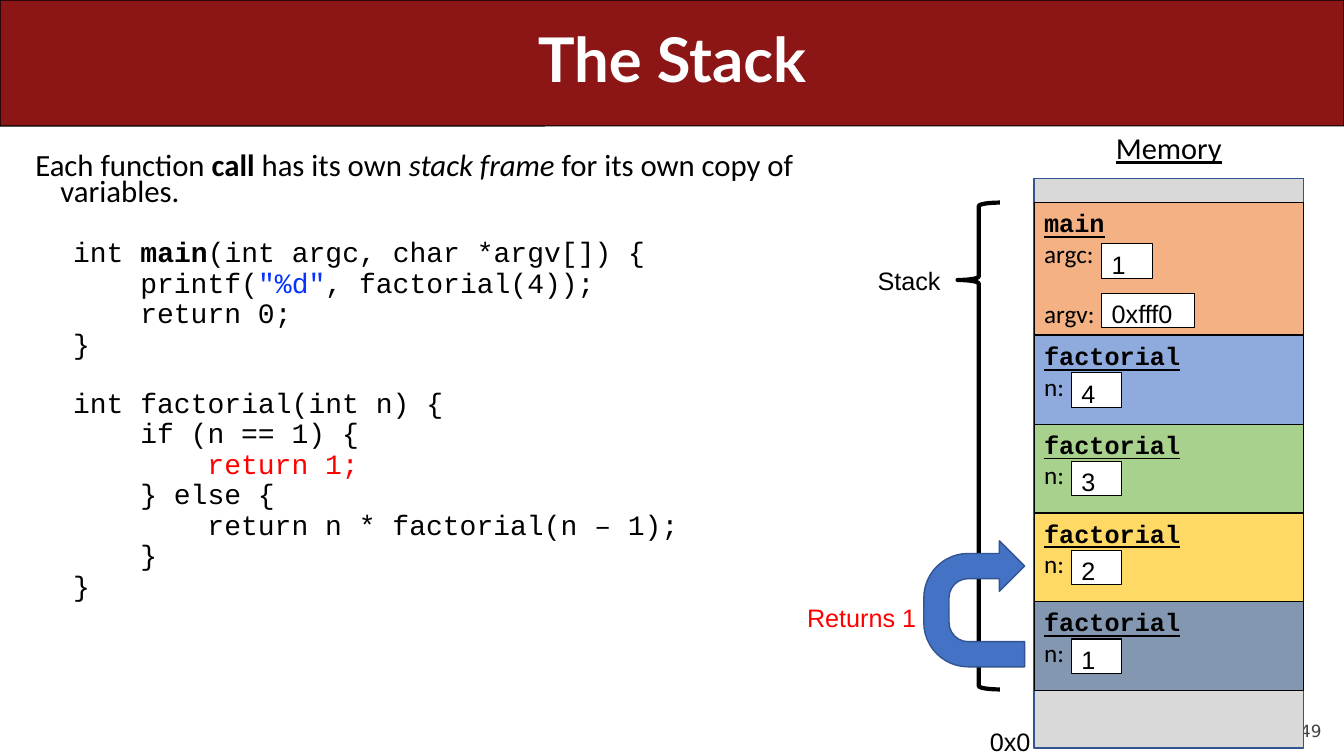
from lxml.etree import SubElement
from pptx import Presentation
from pptx.dml.color import RGBColor
from pptx.enum.shapes import MSO_SHAPE
from pptx.enum.text import MSO_ANCHOR, MSO_AUTO_SIZE, PP_ALIGN
from pptx.oxml.ns import qn
from pptx.util import Pt

INK = {
    "black": "000000", "white": "FFFFFF", "red": "FF0000", "blue": "0432FF",
    "banner": "8C1515", "page": "424242", "grey": "D9D9D9", "edge": "325491",
    "arrow": "4472C4", "main": "F4B183",
    "four": "8FAADC", "three": "A9D18E", "two": "FFD966", "one": "8497B0",
}
MONO = "Courier New"
BOLD = {"bold": True}

INTRO = [
    ("Each function", {}), (" call", BOLD), (" has its own ", {}),
    ("stack frame ", {"italic": True}),
    ("for its own copy of variables.", {}),
]
CODE = [
    (0, 25.5, [("int ", {}), ("main", BOLD), ("(int argc, char *argv[]) {", {})]),
    (1, 5, [("printf(", {}), ('"%d"', {"ink": "blue"}), (", factorial(4));", {})]),
    (1, 5, [("return 0;", {})]),
    (0, 5, [("}", {})]),
    (0, 25.5, [("int factorial(int n) {", {})]),
    (1, 5, [("if (n == 1) {", {})]),
    (2, 5, [("return 1;", {"ink": "red"})]),
    (1, 5, [("} else {", {})]),
    (2, 5, [("return n * factorial(n – 1);", {})]),
    (1, 5, [("}", {})]),
    (0, 5, [("}", {})]),
]
CALLS = [("four", "4"), ("three", "3"), ("two", "2"), ("one", "1")]


class Deck:
    """Holds the style and the current slide, and draws each kind of element."""

    def __init__(self):
        self.prs = Presentation()
        self.prs.slide_width, self.prs.slide_height = Pt(960), Pt(540)
        self.slide = self.prs.slides.add_slide(self.prs.slide_layouts[1])
        self.shapes = self.slide.shapes

    def tint(self, ink):
        return RGBColor.from_string(INK[ink])

    def style(self, run, face="Arial", size=18, ink="black", bold=False,
              italic=False, under=False):
        font = run.font
        font.name, font.size = face, Pt(size)
        font.bold, font.italic, font.underline = bold, italic, under
        font.color.rgb = self.tint(ink)

    def place(self, shape, left, top, width, height):
        shape.left, shape.top = Pt(left), Pt(top)
        shape.width, shape.height = Pt(width), Pt(height)

    def title(self, text, box):
        shape = self.shapes.title
        self.place(shape, *box)
        frame = shape.text_frame
        frame.text = text
        frame.auto_size = MSO_AUTO_SIZE.NONE
        frame.vertical_anchor = MSO_ANCHOR.MIDDLE
        para = frame.paragraphs[0]
        para.alignment, para.line_spacing = PP_ALIGN.CENTER, 0.9
        self.style(para.runs[0], "Lato", 44, "white", bold=True)

    def line(self, para, level, left, before, runs, face, size):
        para.level, para.line_spacing = level, 0.7
        para.space_before = Pt(before)
        props = para._p.get_or_add_pPr()
        props.set("marL", str(Pt(left)))
        props.set("indent", str(Pt(-18)))
        SubElement(props, qn("a:buNone"))
        for text, look in runs:
            run = para.add_run()
            run.text = text
            self.style(run, face, size, **look)

    def body(self, box):
        shape = self.slide.placeholders[1]
        self.place(shape, *box)
        frame = shape.text_frame
        frame.auto_size = MSO_AUTO_SIZE.NONE
        self.line(frame.paragraphs[0], 0, 18, 5, INTRO, "Calibri", 22)
        for depth, before, runs in CODE:
            para = frame.add_paragraph()
            self.line(para, 1, 45 + 48 * depth, before, runs, MONO, 20)

    def shape(self, kind, box, fill, edge="black", width=0.75, adjust=()):
        shape = self.shapes.add_shape(kind, *map(Pt, box))
        shape.shadow.inherit = False
        if fill:
            shape.fill.solid()
            shape.fill.fore_color.rgb = self.tint(fill)
        else:
            shape.fill.background()
        shape.line.color.rgb = self.tint(edge)
        shape.line.width = Pt(width)
        for spot, value in enumerate(adjust):
            shape.adjustments[spot] = value
        return shape

    def label(self, text, box, wrap=False, align=PP_ALIGN.RIGHT, **look):
        frame = self.shapes.add_textbox(*map(Pt, box)).text_frame
        frame.text, frame.word_wrap = text, wrap
        para = frame.paragraphs[0]
        para.alignment = align
        self.style(para.runs[0], **look)
        return frame

    def frame(self, name, fields, box, fill, gap=0):
        shape = self.shape(MSO_SHAPE.RECTANGLE, box, fill)
        frame = shape.text_frame
        frame.text = "\n".join([name, *fields])
        frame.vertical_anchor = MSO_ANCHOR.TOP
        for spot, para in enumerate(frame.paragraphs):
            para.alignment = PP_ALIGN.LEFT
            look = {"face": "Calibri"} if spot else {
                "face": MONO, "bold": True, "under": True}
            self.style(para.runs[0], **look)
        frame.paragraphs[-1].space_before = Pt(gap)

    def value(self, text, left, top, width=36):
        shape = self.shape(MSO_SHAPE.RECTANGLE, (left, top, width, 24.5), "white")
        frame = shape.text_frame
        frame.text, frame.vertical_anchor = text, MSO_ANCHOR.TOP
        frame.paragraphs[0].alignment = PP_ALIGN.LEFT
        self.style(frame.paragraphs[0].runs[0])


def main():
    deck = Deck()
    top = (0, 0, 960, 90)
    banner = deck.shape(MSO_SHAPE.ROUNDED_RECTANGLE, top, "banner", adjust=[0.001])
    deck.shapes._spTree.insert(2, banner._element)
    deck.title("The Stack", (36, 0, 888, 90))
    deck.body((18, 108, 597, 407.5))

    page = deck.label("49", (864, 500.4, 80, 28.8), True,
                      face="DejaVu Sans", size=12, ink="page")
    page.margin_left = page.margin_right = page.margin_top = page.margin_bottom = 0
    page.vertical_anchor = MSO_ANCHOR.BOTTOM

    head = deck.label("Memory", (787, 95.75, 95.75, 31), True, PP_ALIGN.CENTER,
                      face="Calibri", size=21.7, under=True)
    head.paragraphs[0].line_spacing = 0.7
    head.paragraphs[0].space_before = Pt(10)

    left, width = 738.75, 192.25
    deck.shape(MSO_SHAPE.RECTANGLE, (left, 127.5, width, 406.75), "grey", "edge", 1)
    deck.label("0x0", (693.4, 515.5, 49.7, 36))
    deck.frame("main", ["argc:", "argv:"], (left, 144.75, width, 94.3), "main", 21.75)
    deck.value("1", 787, 174.25)
    deck.value("0xfff0", 787, 209.5, 66.25)

    deck.shape(MSO_SHAPE.LEFT_BRACE, (684, 144.75, 30.25, 347.75), None,
               width=3, adjust=[0.083, 0.159])
    deck.label("Stack", (619.2, 185.75, 59.75, 28.8))

    high = 63.35
    for spot, (fill, text) in enumerate(CALLS):
        top = 239.75 + spot * high
        deck.frame("factorial", ["n:"], (left, top, width, high), fill)
        deck.value(text, left + 26.65, top + 26.65)

    turn = deck.shape(MSO_SHAPE.U_TURN_ARROW, (650.9, 395.3, 90, 72), "arrow",
                      "edge", 1, [0.25, 0.25, 0.25, 0.44, 1])
    turn.rotation = 270
    deck.label("Returns 1", (568, 427, 93.6, 28.8), ink="red")
    deck.prs.save("out.pptx")


if __name__ == "__main__":
    main()
